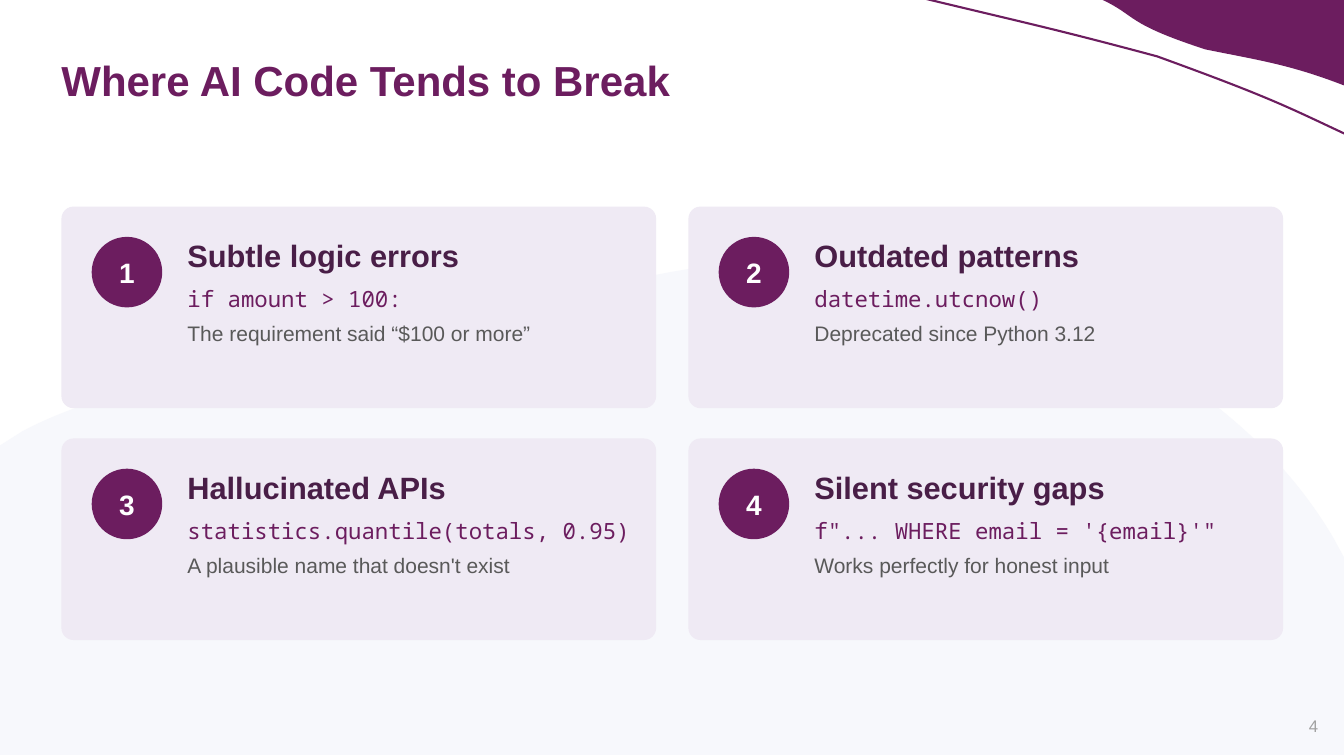
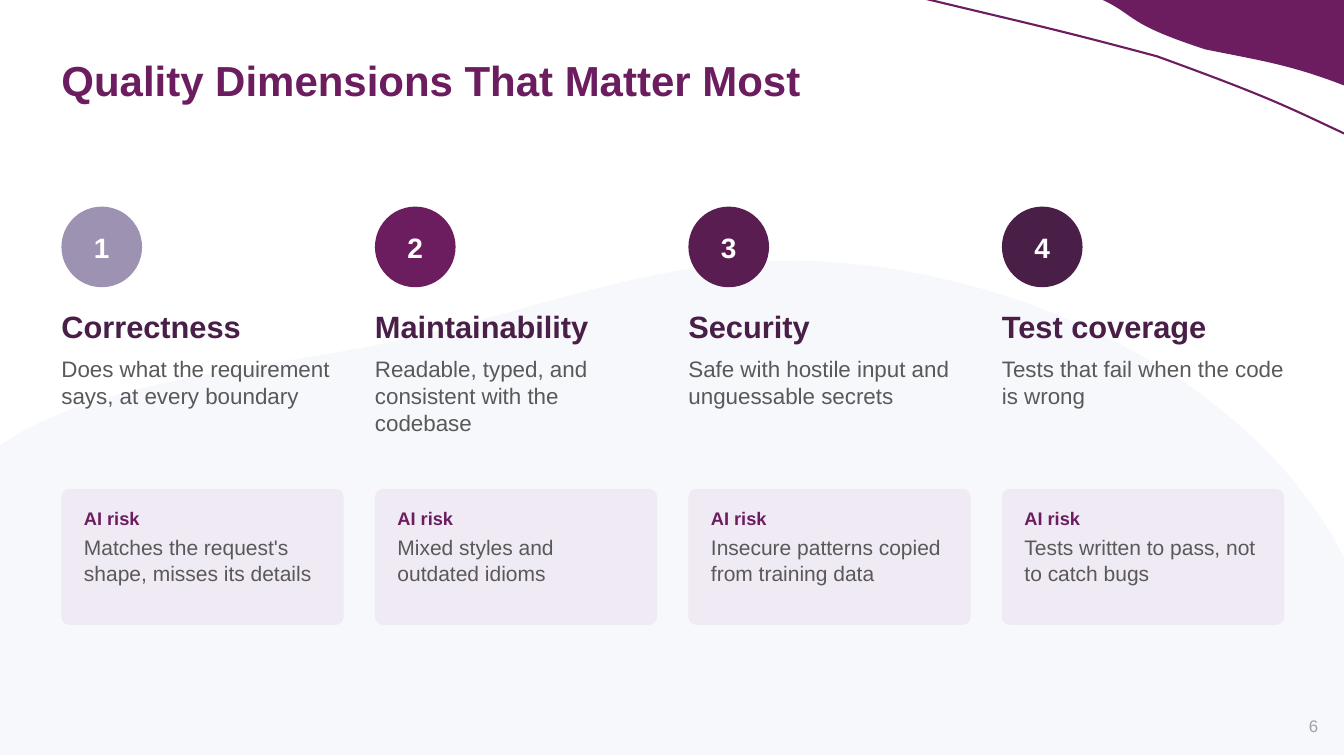
from dataclasses import dataclass

from lxml import etree
from pptx import Presentation
from pptx.dml.color import RGBColor
from pptx.enum.shapes import MSO_SHAPE
from pptx.enum.text import MSO_ANCHOR, MSO_AUTO_SIZE, PP_ALIGN
from pptx.oxml.ns import qn
from pptx.shapes.autoshape import Shape
from pptx.slide import Slide
from pptx.text.text import TextFrame
from pptx.util import Pt

ELLIPSE, ROUNDED = MSO_SHAPE.OVAL, MSO_SHAPE.ROUNDED_RECTANGLE
TOP, MIDDLE = MSO_ANCHOR.TOP, MSO_ANCHOR.MIDDLE
LEFT, CENTER = PP_ALIGN.LEFT, PP_ALIGN.CENTER
GROW = MSO_AUTO_SIZE.SHAPE_TO_FIT_TEXT

PURPLE, DEEP_PURPLE, DARK, LAVENDER = "6C1D5F", "5A1D52", "491E47", "9D92B2"
CARD_FILL, WAVE_FILL, WHITE = "EFEAF4", "F7F8FC", "FFFFFF"
BODY_GREY, NUMBER_GREY = "595959", "A1A1A1"
SANS, MONO = "Arial", "Noto Sans Mono"

SLIDE_WIDTH, SLIDE_HEIGHT = 960, 540
MARGIN, CONTENT_TOP = 43.92, 147.6
COLUMN_PITCH, COLUMN_WIDTH = 223.92, 201.6
CARD_WIDTH, CARD_HEIGHT, ROW_PITCH = 424.8, 144, 165.6
CARD_PADDING = 21.6

Point = tuple[float, float]


@dataclass(frozen=True)
class Outline:
    """A start point, then segments of one point (line) or three (Bezier curve)."""
    start: Point
    segments: list[tuple[Point, ...]]


@dataclass(frozen=True)
class Line:
    text: str
    size: float
    color: str
    bold: bool = False
    font: str = SANS
    space_after: float = 0
    line_spacing: float = 1


@dataclass(frozen=True)
class Weakness:
    heading: str
    code: str
    note: str


@dataclass(frozen=True)
class Dimension:
    name: str
    meaning: str
    risk: str
    color: str


WAVE = Outline((557.3, 186.5), [
    ((571.7, 185.8), (586.1, 186.5), (601.2, 187.9)),
    ((723.6, 197.3), (880.6, 261.4), (952.6, 384.5)),
    ((960, 398.2),), ((960, 539.3),), ((0, 539.3),), ((0, 318.2),), ((15.8, 308.2),),
    ((88.6, 269.3), (190.8, 262.8), (277.2, 244.8)),
    ((377.3, 223.9), (457.2, 187.9), (557.3, 186.5)),
])
SWEEP = Outline((661.7, -0.7), [
    ((730.1, 15.8), (754.6, 20.9), (826.6, 40.3)),
    ((907.9, 69.8), (919.4, 76.3), (962.6, 96.5)),
])
CORNER = Outline((787.7, 0), [
    ((960.5, 0),),
    ((960.5, 20.2), (960.5, 40.3), (960.5, 61.2)),
    ((921.6, 46.1), (900, 43.2), (861.1, 35.3)),
    ((803.5, 16.6), (812.2, 11.5), (787.7, 0)),
])

WEAKNESSES = [
    Weakness("Subtle logic errors", "if amount > 100:", "The requirement said “$100 or more”"),
    Weakness("Outdated patterns", "datetime.utcnow()", "Deprecated since Python 3.12"),
    Weakness("Hallucinated APIs", "statistics.quantile(totals, 0.95)",
             "A plausible name that doesn't exist"),
    Weakness("Silent security gaps", "f\"... WHERE email = '{email}'\"",
             "Works perfectly for honest input"),
]
DIMENSIONS = [
    Dimension("Correctness", "Does what the requirement says, at every boundary",
              "Matches the request's shape, misses its details", LAVENDER),
    Dimension("Maintainability", "Readable, typed, and consistent with the codebase",
              "Mixed styles and outdated idioms", PURPLE),
    Dimension("Security", "Safe with hostile input and unguessable secrets",
              "Insecure patterns copied from training data", DEEP_PURPLE),
    Dimension("Test coverage", "Tests that fail when the code is wrong",
              "Tests written to pass, not to catch bugs", DARK),
]


def rgb(color: str) -> RGBColor:
    return RGBColor.from_string(color)


def fill_plain(shape: Shape, color: str) -> None:
    """Give a solid fill without outline or shadow."""
    shape.shadow.inherit = False
    shape.fill.solid()
    shape.fill.fore_color.rgb = rgb(color)
    shape.line.fill.background()


def add_outline(slide: Slide, outline: Outline, closed: bool = True) -> Shape:
    """Build a freeform through the end points, then bend its curved segments."""
    start_x, start_y = outline.start
    builder = slide.shapes.build_freeform(Pt(start_x), Pt(start_y))
    ends = [segment[-1] for segment in outline.segments]
    builder.add_line_segments([(Pt(x), Pt(y)) for x, y in ends], close=closed)
    shape = builder.convert_to_shape()
    for straight, segment in zip(list(shape.element.iter(qn("a:lnTo"))), outline.segments):
        if len(segment) == 3:
            curve = etree.Element(qn("a:cubicBezTo"))
            for x, y in segment:
                etree.SubElement(curve, qn("a:pt"), x=str(Pt(x) - shape.left),
                                 y=str(Pt(y) - shape.top))
            straight.getparent().replace(straight, curve)
    return shape


def write_lines(frame: TextFrame, lines: list[Line], align: PP_ALIGN = LEFT,
                anchor: MSO_ANCHOR = TOP, inset_x: float = 0, inset_y: float = 0) -> None:
    frame.word_wrap = True
    frame.vertical_anchor = anchor
    frame.margin_left = frame.margin_right = Pt(inset_x)
    frame.margin_top = frame.margin_bottom = Pt(inset_y)
    for index, line in enumerate(lines):
        paragraph = frame.add_paragraph() if index else frame.paragraphs[0]
        paragraph.text = line.text
        paragraph.alignment = align
        paragraph.space_after = Pt(line.space_after)
        paragraph.line_spacing = line.line_spacing
        paragraph.font.name = line.font
        paragraph.font.size = Pt(line.size)
        paragraph.font.bold = line.bold
        paragraph.font.color.rgb = rgb(line.color)


def add_text(slide: Slide, left: float, top: float, width: float, height: float,
             lines: list[Line], align: PP_ALIGN = LEFT, anchor: MSO_ANCHOR = TOP) -> Shape:
    box = slide.shapes.add_textbox(Pt(left), Pt(top), Pt(width), Pt(height))
    write_lines(box.text_frame, lines, align, anchor)
    return box


def add_card(slide: Slide, left: float, top: float, width: float, height: float) -> Shape:
    card = slide.shapes.add_shape(ROUNDED, Pt(left), Pt(top), Pt(width), Pt(height))
    card.adjustments[0] = 0.06
    fill_plain(card, CARD_FILL)
    return card


def add_badge(slide: Slide, left: float, top: float, size: float,
              number: int, color: str) -> None:
    badge = slide.shapes.add_shape(ELLIPSE, Pt(left), Pt(top), Pt(size), Pt(size))
    fill_plain(badge, color)
    write_lines(badge.text_frame, [Line(str(number), 20, WHITE, True)], CENTER, MIDDLE)


def add_base_slide(presentation: Presentation, title: str, number: int) -> Slide:
    """Add a slide with the shared decoration, title and page number."""
    slide = presentation.slides.add_slide(presentation.slide_layouts[6])
    slide.background.fill.solid()
    slide.background.fill.fore_color.rgb = rgb(WHITE)
    fill_plain(add_outline(slide, WAVE), WAVE_FILL)
    sweep = add_outline(slide, SWEEP, closed=False)
    sweep.shadow.inherit = False
    sweep.fill.background()
    sweep.line.color.rgb = rgb(PURPLE)
    sweep.line.width = Pt(1.5)
    fill_plain(add_outline(slide, CORNER), PURPLE)
    add_text(slide, MARGIN, 43.2, 873.36, 89.28,
             [Line(title, 30, PURPLE, True, line_spacing=0.9)])
    add_text(slide, 916.6, 496.8, 43.2, 43.2,
             [Line(str(number), 12, NUMBER_GREY)], CENTER, MIDDLE)
    return slide


def add_weakness(slide: Slide, index: int, weakness: Weakness) -> None:
    row, column = divmod(index, 2)
    left = MARGIN + column * 2 * COLUMN_PITCH
    top = CONTENT_TOP + row * ROW_PITCH
    add_card(slide, left, top, CARD_WIDTH, CARD_HEIGHT)
    add_badge(slide, left + CARD_PADDING, top + CARD_PADDING, 50.4, index + 1, PURPLE)
    text = add_text(slide, left + 90, top + CARD_PADDING, 316.8, 108, [
        Line(weakness.heading, 22, DARK, True, space_after=8),
        Line(weakness.code, 16, PURPLE, font=MONO, space_after=6),
        Line(weakness.note, 15, BODY_GREY),
    ])
    text.text_frame.auto_size = GROW


def add_dimension(slide: Slide, index: int, dimension: Dimension) -> None:
    left = MARGIN + index * COLUMN_PITCH
    add_badge(slide, left, CONTENT_TOP, 57.6, index + 1, dimension.color)
    text = add_text(slide, left, 219.6, COLUMN_WIDTH, 115.2, [
        Line(dimension.name, 22, DARK, True, space_after=8),
        Line(dimension.meaning, 16, BODY_GREY),
    ])
    text.text_frame.auto_size = GROW
    card = add_card(slide, left, 349.2, COLUMN_WIDTH, 97.2)
    write_lines(card.text_frame, [
        Line("AI risk", 13, PURPLE, True, space_after=4),
        Line(dimension.risk, 15, BODY_GREY),
    ], inset_x=14.4, inset_y=11.52)


def main() -> None:
    presentation = Presentation()
    presentation.slide_width = Pt(SLIDE_WIDTH)
    presentation.slide_height = Pt(SLIDE_HEIGHT)

    slide = add_base_slide(presentation, "Where AI Code Tends to Break", 4)
    for index, weakness in enumerate(WEAKNESSES):
        add_weakness(slide, index, weakness)

    slide = add_base_slide(presentation, "Quality Dimensions That Matter Most", 6)
    for index, dimension in enumerate(DIMENSIONS):
        add_dimension(slide, index, dimension)

    presentation.save("out.pptx")


if __name__ == "__main__":
    main()
